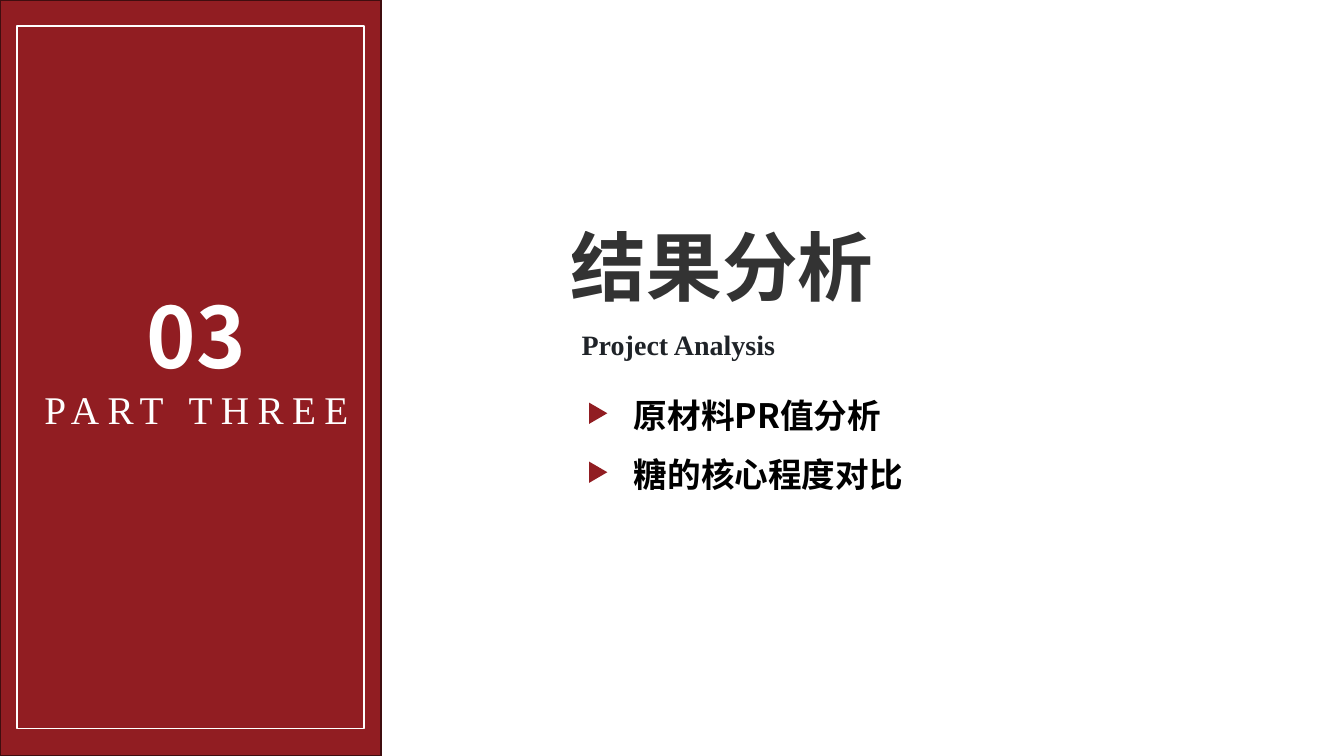
from dataclasses import dataclass

from lxml.etree import SubElement
from pptx import Presentation
from pptx.dml.color import RGBColor
from pptx.enum.shapes import MSO_SHAPE as Preset
from pptx.enum.text import MSO_ANCHOR as Anchor, MSO_AUTO_SIZE as AutoSize, PP_ALIGN as Align
from pptx.oxml.ns import qn
from pptx.util import Pt

PART_NUMBER = "03"
PART_LABEL = "PART THREE"
TITLE = "结果分析"
SUBTITLE = "Project Analysis"
TOPICS = ["原材料PR值分析", "糖的核心程度对比"]


@dataclass(frozen=True)
class Theme:
    red: str = "911D22"
    red_edge: str = "400D0F"
    white: str = "FFFFFF"
    black: str = "000000"
    ink: str = "1F2328"
    cjk: str = "Noto Sans CJK SC"
    latin: str = "Times New Roman"
    number_size: int = 60
    title_size: int = 54
    label_size: int = 28
    topic_size: int = 24
    subtitle_size: int = 20
    title_opacity: int = 80


THEME = Theme()
SLIDE_W, SLIDE_H = 960, 540
TOPIC_TOP, TOPIC_STEP = 275.76, 42.12
MARKER_DROP = 12.96


def add_preset(slide, preset, box, fill=None, line=None):
    shape = slide.shapes.add_shape(preset, *map(Pt, box))
    shape.shadow.inherit = False
    if fill:
        shape.fill.solid()
        shape.fill.fore_color.rgb = RGBColor.from_string(fill)
    else:
        shape.fill.background()
    if line:
        shape.line.color.rgb = RGBColor.from_string(line)
        shape.line.width = Pt(1)
    else:
        shape.line.fill.background()
    return shape


def add_frame(slide, box, wrap=True, anchor=Anchor.TOP):
    frame = slide.shapes.add_textbox(*map(Pt, box)).text_frame
    frame.word_wrap = wrap
    frame.auto_size = AutoSize.SHAPE_TO_FIT_TEXT
    frame.vertical_anchor = anchor
    return frame


def write(paragraph, text, face, size, color, bold=True, align=Align.CENTER):
    """Fill a paragraph with one run; the face also serves East Asian text."""
    run = paragraph.add_run()
    run.text = text
    paragraph.alignment = align
    font = paragraph.font
    font.name, font.size, font.bold = face, Pt(size), bold
    font.color.rgb = RGBColor.from_string(color)
    # East Asian faces and default run properties need explicit run settings.
    run.font.name, run.font.size, run.font.bold = face, Pt(size), bold
    run.font.color.rgb = RGBColor.from_string(color)
    SubElement(run.font._element, qn("a:ea"), typeface=face)
    return run


def set_opacity(run, percent):
    color = run.font._element.find(f"{qn('a:solidFill')}/{qn('a:srgbClr')}")
    SubElement(color, qn("a:alpha"), val=str(percent * 1000))


def add_part_panel(slide):
    add_preset(slide, Preset.RECTANGLE, (0, 0, 272.16, SLIDE_H), THEME.red, THEME.red_edge)
    add_preset(slide, Preset.RECTANGLE, (12.24, 18.72, 247.68, 501.84), line=THEME.white)
    frame = add_frame(slide, (21.6, 221.76, 237.6, 91.44), wrap=False)
    number = frame.paragraphs[0]
    number.line_spacing = Pt(50)
    write(number, PART_NUMBER, THEME.cjk, THEME.number_size, THEME.white)
    label = write(frame.add_paragraph(), PART_LABEL, THEME.latin, THEME.label_size,
                  THEME.white, bold=False)
    label.font._element.set("spc", "600")


def add_headings(slide):
    title_frame = add_frame(slide, (340.56, 153.36, 350.64, 72.72), anchor=Anchor.MIDDLE)
    title = write(title_frame.paragraphs[0], TITLE, THEME.cjk, THEME.title_size, THEME.black)
    set_opacity(title, THEME.title_opacity)
    subtitle_frame = add_frame(slide, (265.68, 230.4, 437.76, 31.68))
    write(subtitle_frame.paragraphs[0], SUBTITLE, THEME.latin, THEME.subtitle_size, THEME.ink)


def add_topics(slide):
    for index, topic in enumerate(TOPICS):
        top = TOPIC_TOP + index * TOPIC_STEP
        marker = add_preset(slide, Preset.ISOSCELES_TRIANGLE,
                            (419.76, top + MARKER_DROP, 15.12, 12.96), THEME.red)
        marker.rotation = 90
        line = add_frame(slide, (445.68, top, 323.28, 71.28)).paragraphs[0]
        line.line_spacing = 1.1
        write(line, topic, THEME.cjk, THEME.topic_size, THEME.black, align=Align.LEFT)


def main():
    deck = Presentation()
    deck.slide_width, deck.slide_height = Pt(SLIDE_W), Pt(SLIDE_H)
    slide = deck.slides.add_slide(deck.slide_layouts[6])
    add_part_panel(slide)
    add_headings(slide)
    add_topics(slide)
    deck.save("out.pptx")


if __name__ == "__main__":
    main()
